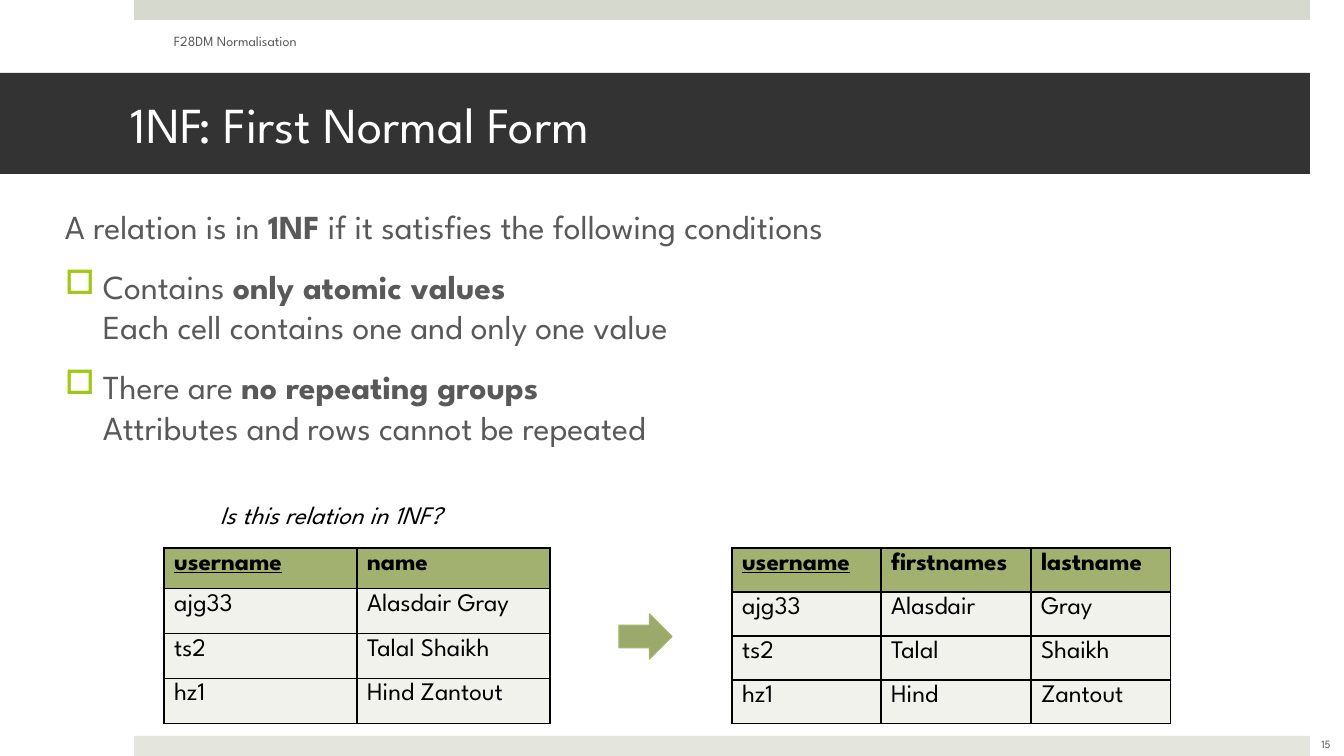
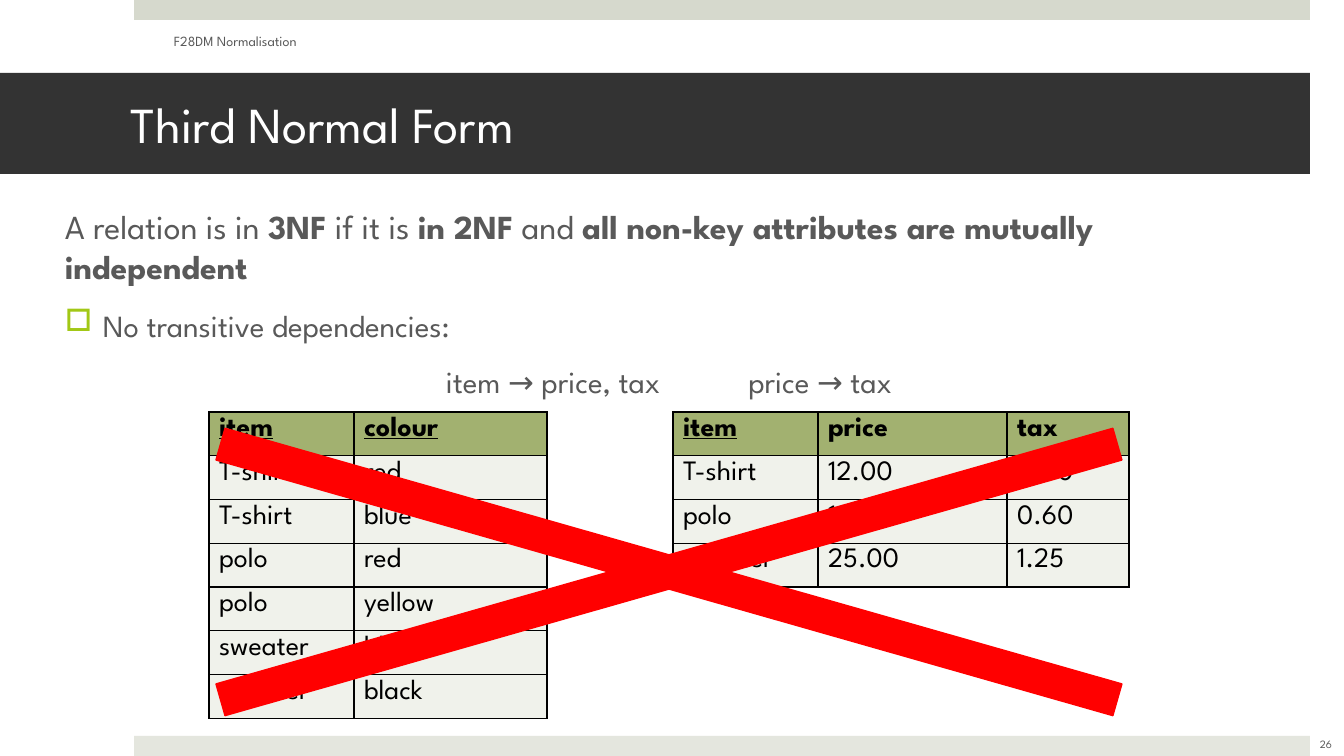
from lxml import etree
from pptx import Presentation
from pptx import util as u
from pptx.dml.color import RGBColor
from pptx.enum import shapes, text
from pptx.oxml import ns

PX = 12192000 / 1344
FONT = "League Spartan"
WHITE = RGBColor(0xFF, 0xFF, 0xFF)
BLACK = RGBColor(0x00, 0x00, 0x00)
GREY = RGBColor(0x59, 0x59, 0x59)
CHARCOAL = RGBColor(0x33, 0x33, 0x33)
TOP_BAND = RGBColor(0xD6, 0xD9, 0xCD)
BOTTOM_BAND = RGBColor(0xE4, 0xE6, 0xDE)
HEADER_FILL = RGBColor(0xA2, 0xB1, 0x70)
CELL_FILL = RGBColor(0xF0, 0xF2, 0xEB)
BULLET = RGBColor(0xA2, 0xC8, 0x16)
ARROW_FILL = RGBColor(0x9B, 0xA9, 0x6B)
ARROW_LINE = RGBColor(0xA3, 0xB3, 0x6E)
RED = RGBColor(0xFF, 0x00, 0x00)

# Paragraph kinds of the body
PLAIN, BULLETED, CENTRED = range(3)
SHAPE = shapes.MSO_SHAPE
MIDDLE = text.MSO_ANCHOR.MIDDLE
LEFT, CENTER = text.PP_ALIGN.LEFT, text.PP_ALIGN.CENTER

# In body text ** switches bold on and off
SLIDES = [
    {
        "title": "1NF: First Normal Form",
        "number": "15",
        "body": [
            (PLAIN, 24, "A relation is in **1NF** if it satisfies the following conditions"),
            (BULLETED, 24, "Contains **only atomic values**\nEach cell contains one and only one value"),
            (BULLETED, 24, "There are **no repeating groups**\nAttributes and rows cannot be repeated"),
        ],
        "table_top": 548,
        "table_size": 18,
        "tables": [
            {"left": 164, "columns": [193, 193], "header": 33, "row": 45, "keys": 1,
             "cells": [("username", "name"), ("ajg33", "Alasdair Gray"),
                       ("ts2", "Talal Shaikh"), ("hz1", "Hind Zantout")]},
            {"left": 732, "columns": [149, 150, 140], "header": 44, "row": 44, "keys": 1,
             "cells": [("username", "firstnames", "lastname"), ("ajg33", "Alasdair", "Gray"),
                       ("ts2", "Talal", "Shaikh"), ("hz1", "Hind", "Zantout")]},
        ],
        "caption": "Is this relation in 1NF?",
        "shapes": [(SHAPE.RIGHT_ARROW, (619, 614, 53, 45), ARROW_FILL, ARROW_LINE, None)],
    },
    {
        "title": "Third Normal Form",
        "number": "26",
        "body": [
            (PLAIN, 24, "A relation is in **3NF** if it is **in 2NF** and "
                        "**all non-key attributes are mutually independent**"),
            (BULLETED, 22, "No transitive dependencies:"),
            (CENTRED, 22, "item → price, tax\t\tprice → tax"),
        ],
        "table_top": 412,
        "table_size": 20,
        "tables": [
            {"left": 673, "columns": [145, 189, 122], "header": 36, "row": 41, "keys": 1,
             "cells": [("item", "price", "tax"), ("T-shirt", "12.00", "0.60"),
                       ("polo", "12.00", "0.60"), ("sweater", "25.00", "1.25")]},
            {"left": 209, "columns": [145, 193], "header": 36, "row": 41, "keys": 2,
             "cells": [("item", "colour"), ("T-shirt", "red"), ("T-shirt", "blue"),
                       ("polo", "red"), ("polo", "yellow"),
                       ("sweater", "blue"), ("sweater", "black")]},
        ],
        "caption": None,
        "shapes": [(SHAPE.MATH_MULTIPLY, (-194, 326, 1726, 492), RED, RED, 0.067)],
    },
]


def write(para, words, size, colour, **formats):
    """Add words to a paragraph, with ** for bold and a newline for a line break."""
    for part, piece in enumerate(words.split("**")):
        for number, line in enumerate(piece.split("\n")):
            if number:
                para.add_line_break()
            if not line:
                continue
            span = para.add_run()
            span.text = line
            values = {"name": FONT, "size": u.Pt(size), "bold": part % 2 == 1, **formats}
            for name, value in values.items():
                setattr(span.font, name, value)
            span.font.color.rgb = colour


def add_shape(page, kind, place, fill, line=None):
    """Add a flat preset shape; place is left, top, width, height in pixels."""
    shape = page.shapes.add_shape(kind, *(round(length * PX) for length in place))
    shape.shadow.inherit = False
    shape.fill.solid()
    shape.fill.fore_color.rgb = fill
    if line is None:
        shape.line.fill.background()
    else:
        shape.line.color.rgb = line
        shape.line.width = u.Pt(1)
    return shape


deck = Presentation()
deck.slide_width, deck.slide_height = round(1344 * PX), round(756 * PX)

for slide in SLIDES:
    page = deck.slides.add_slide(deck.slide_layouts[6])

    # Bands and title
    add_shape(page, SHAPE.RECTANGLE, (134, 0, 1176, 20), TOP_BAND)
    add_shape(page, SHAPE.RECTANGLE, (134, 736, 1176, 20), BOTTOM_BAND)
    title = add_shape(page, SHAPE.RECTANGLE, (0, 73, 1310, 101), CHARCOAL).text_frame
    frame_format = {"margin_left": round(131 * PX), "margin_right": round(30 * PX),
                    "vertical_anchor": MIDDLE, "word_wrap": True}
    for name, value in frame_format.items():
        setattr(title, name, value)
    title.paragraphs[0].alignment = LEFT
    write(title.paragraphs[0], slide["title"], 36, WHITE)

    # Body
    box = page.shapes.add_textbox(*(round(length * PX) for length in (55, 201, 1228, 523)))
    box.text_frame.word_wrap = True
    for number, (kind, size, words) in enumerate(slide["body"]):
        para = box.text_frame.add_paragraph() if number else box.text_frame.paragraphs[0]
        para.space_before = u.Pt(14)
        para.alignment = CENTER if kind == CENTRED else LEFT
        if kind == BULLETED:
            props = para._p.get_or_add_pPr()
            props.set("marL", str(round(38 * PX)))
            props.set("indent", str(round(-38 * PX)))
            colour = etree.SubElement(props, ns.qn("a:buClr"))
            etree.SubElement(colour, ns.qn("a:srgbClr"), val=str(BULLET))
            etree.SubElement(props, ns.qn("a:buChar"), char="□")
        write(para, words, size, GREY)

    # Running header, page number and caption
    labels = [
        ("F28DM Normalisation", (164, 21, 425, 40), 10, GREY, LEFT, MIDDLE, True, False),
        (slide["number"], (1292, 724, 68, 40), 8, GREY, CENTER, MIDDLE, True, False),
    ]
    if slide["caption"]:
        labels.append((slide["caption"], (210, 494, 277, 40), 18, BLACK, LEFT,
                       text.MSO_ANCHOR.TOP, False, True))
    for words, place, size, colour, align, anchor, wrap, italic in labels:
        box = page.shapes.add_textbox(*(round(length * PX) for length in place))
        box.text_frame.word_wrap = wrap
        box.text_frame.vertical_anchor = anchor
        box.text_frame.paragraphs[0].alignment = align
        write(box.text_frame.paragraphs[0], words, size, colour, italic=italic)

    # Tables
    for relation in slide["tables"]:
        cells, columns = relation["cells"], relation["columns"]
        heights = [relation["header"]] + [relation["row"]] * (len(cells) - 1)
        place = (relation["left"], slide["table_top"], sum(columns), sum(heights))
        table = page.shapes.add_table(len(cells), len(columns),
                                      *(round(length * PX) for length in place)).table
        for column, width in zip(table.columns, columns):
            column.width = round(width * PX)
        for row, (height, entries) in enumerate(zip(heights, cells)):
            table.rows[row].height = round(height * PX)
            for col, words in enumerate(entries):
                cell = table.cell(row, col)
                header = row == 0
                write(cell.text_frame.paragraphs[0], words, slide["table_size"], BLACK,
                      bold=header, underline=header and col < relation["keys"])
                props = cell._tc.get_or_add_tcPr()
                for side in ("a:lnL", "a:lnR", "a:lnT", "a:lnB"):
                    border = etree.SubElement(props, ns.qn(side), w=str(u.Pt(1)))
                    paint = etree.SubElement(border, ns.qn("a:solidFill"))
                    etree.SubElement(paint, ns.qn("a:srgbClr"), val=str(BLACK))
                cell.fill.solid()
                cell.fill.fore_color.rgb = HEADER_FILL if header else CELL_FILL

    # Arrow or cross
    for kind, place, fill, line, thickness in slide["shapes"]:
        mark = add_shape(page, kind, place, fill, line)
        if thickness is not None:
            mark.adjustments[0] = thickness

deck.save("out.pptx")
